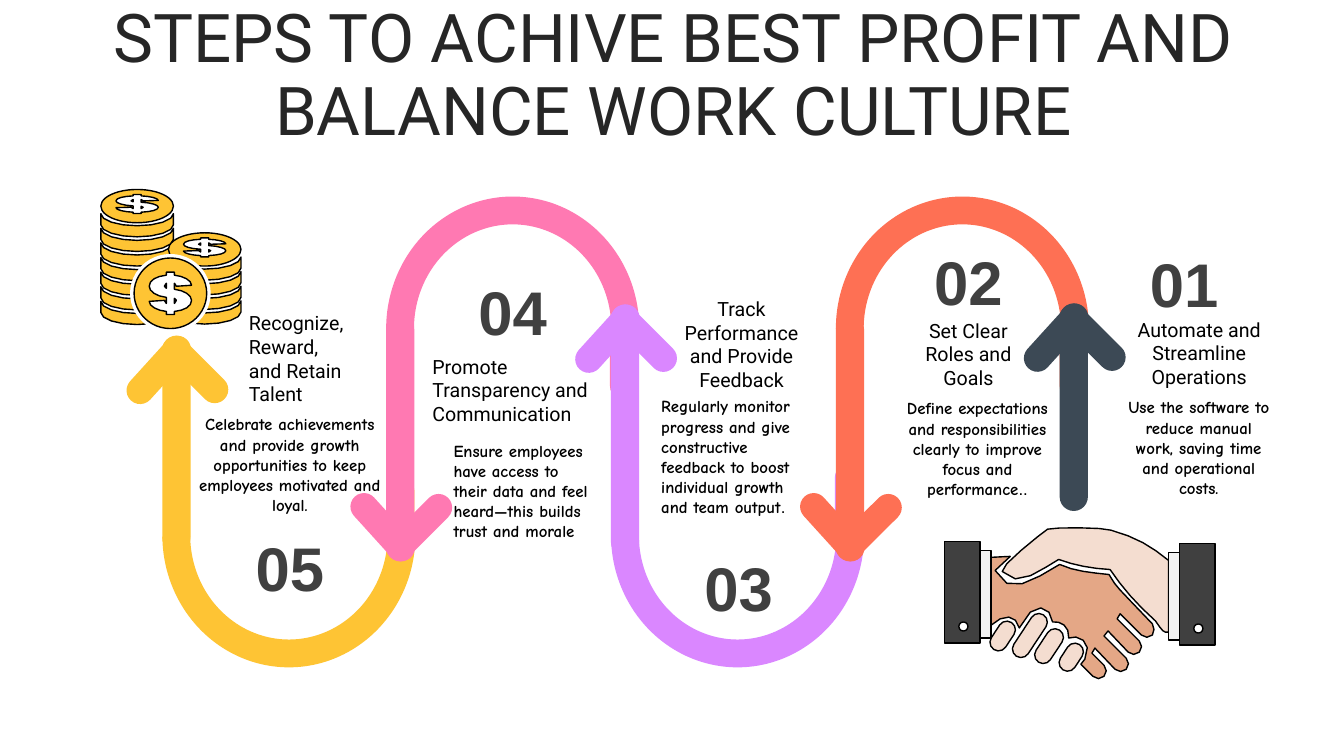
from math import cos, dist, pi, sin

from lxml.etree import SubElement
from pptx import Presentation
from pptx.dml.color import RGBColor
from pptx.enum.shapes import MSO_SHAPE
from pptx.enum.text import MSO_ANCHOR, MSO_AUTO_SIZE, PP_ALIGN
from pptx.oxml.ns import qn
from pptx.util import Inches, Pt

COLORS = {
    "title": "262626", "number": "404040", "black": "000000", "white": "FFFFFF",
    "gold": "FEC434", "pink": "FF79B2", "violet": "DA87FF", "coral": "FE7054",
    "navy": "3C4955", "pale": "F4DDD0", "tan": "E4A786", "cuff": "F2F2F2",
    "sleeve": "404040",
}

DOLLAR = [
    [(1.65, 2.7), (1.65, 2.73), (1.55, 2.74, 1.48, 2.78, 1.48, 2.84),
     (1.48, 2.89, 1.55, 2.94, 1.65, 2.95), (1.65, 3.01), (1.63, 2.98), (1.48, 2.99),
     (1.48, 3.04, 1.56, 3.08, 1.65, 3.09), (1.65, 3.12), (1.73, 3.12), (1.73, 3.09),
     (1.83, 3.08, 1.9, 3.04, 1.9, 2.98), (1.9, 2.93, 1.83, 2.88, 1.73, 2.87),
     (1.73, 2.81), (1.75, 2.84), (1.9, 2.83),
     (1.9, 2.78, 1.82, 2.74, 1.73, 2.73), (1.73, 2.7)],
    [(1.73, 2.96), (1.75, 2.98), (1.73, 3.01)],
    [(1.65, 2.81), (1.65, 2.86), (1.63, 2.84)],
]
BACK_HAND = [[
    (10.5, 5.55), (10.35, 5.63, 10.09, 5.86, 9.94, 5.67), (9.9, 5.63, 10.33, 5.29, 10.39, 5.25),
    (10.45, 5.23, 10.95, 5.23, 11.02, 5.26), (11.27, 5.33, 11.42, 5.42, 11.59, 5.56),
    (11.59, 6.27), (11.54, 6.28, 11.53, 6.26, 11.46, 6.16),
    (11.27, 5.99, 11.13, 5.83, 11.01, 5.65), (10.83, 5.64, 10.66, 5.61, 10.5, 5.55)]]
FRONT_HAND = [[
    (10.02, 5.52), (9.87, 5.66), (10, 5.93, 10.24, 5.76, 10.51, 5.6),
    (10.66, 5.67, 10.82, 5.68, 11, 5.7), (11.07, 5.83, 11.14, 5.88, 11.21, 5.96),
    (11.43, 6.19), (11.45, 6.22, 11.45, 6.27, 11.43, 6.3), (11.4, 6.33, 11.35, 6.33, 11.32, 6.3),
    (11.11, 6.09), (11.08, 6.14), (11.3, 6.36), (11.33, 6.39, 11.33, 6.44, 11.3, 6.47),
    (11.27, 6.5, 11.22, 6.5, 11.19, 6.47), (10.99, 6.26), (10.95, 6.31), (11.17, 6.53),
    (11.2, 6.56, 11.2, 6.61, 11.17, 6.64), (11.14, 6.67, 11.09, 6.67, 11.06, 6.64),
    (10.86, 6.43), (10.83, 6.48), (10.95, 6.6), (10.98, 6.63, 10.98, 6.68, 10.95, 6.71),
    (10.92, 6.74, 10.87, 6.74, 10.84, 6.71), (10.72, 6.59), (10.76, 6.54),
    (10.85, 6.36, 10.68, 6.29, 10.6, 6.33), (10.61, 6.21, 10.52, 6.16, 10.44, 6.17),
    (10.43, 6.02, 10.25, 5.93, 10.11, 6.23), (10.08, 6.1, 9.96, 6.08, 9.82, 6.21), (9.82, 5.53)]]


def paint(shape, color, line=True):
    """Fill a shape and give it a thin black line or none."""
    shape.shadow.inherit = False
    shape.fill.solid()
    shape.fill.fore_color.rgb = RGBColor.from_string(COLORS[color])
    if line:
        shape.line.color.rgb = RGBColor.from_string(COLORS["black"])
        shape.line.width = Pt(1)
    else:
        shape.line.fill.background()


def add(slide, kind, box, color, turn=0, line=True, adjust=()):
    """Add a painted preset shape."""
    shape = slide.shapes.add_shape(kind, *map(Inches, box))
    shape.rotation = turn
    for i, value in enumerate(adjust):
        shape.adjustments[i] = value
    paint(shape, color, line)


def bar(slide, box, color, turn=0, line=False):
    """Add a bar with fully round ends."""
    add(slide, MSO_SHAPE.ROUNDED_RECTANGLE, box, color, turn, line, (0.5,))


def flatten(steps):
    """Turn line and curve steps into points, more for long curves."""
    points = [steps[0]]
    for step in steps[1:]:
        if len(step) == 2:
            points.append(step)
            continue
        nodes = [points[-1], step[:2], step[2:4], step[4:]]
        count = 2 if dist(nodes[0], nodes[3]) < 0.12 else 4
        for t in (i / count for i in range(1, count + 1)):
            rates = ((1 - t) ** 3, 3 * t * (1 - t) ** 2, 3 * t * t * (1 - t), t ** 3)
            points.append(tuple(sum(r * n[k] for r, n in zip(rates, nodes)) for k in (0, 1)))
    return points


def outline(slide, loops, color, move=(0, 0), squash=1):
    """Draw closed loops, moved and flattened in height."""
    build = None
    for loop in loops:
        points = [(Inches(x + move[0]), Inches(y * squash + move[1])) for x, y in flatten(loop)]
        if build is None:
            build = slide.shapes.build_freeform(*points[0], scale=1.0)
        else:
            build.move_to(*points[0])
        build.add_line_segments(points[1:], close=True)
    paint(build.convert_to_shape(), color)


def stack(slide, left, top, count):
    """Draw a pile of coins with a dollar on its top face."""
    mid = left + 0.36
    bands = []
    for i in range(count):
        edge = top + 0.24 + 0.145 * i
        upper = [(mid - 0.36 * cos(pi * k / 8), edge + 0.12 * sin(pi * k / 8)) for k in range(9)]
        bands.append(upper + [(x, y + 0.11) for x, y in reversed(upper)])
    outline(slide, bands, "gold")
    add(slide, MSO_SHAPE.OVAL, (left, top, 0.72, 0.33), "gold")
    outline(slide, DOLLAR, "white", (mid - 1.69, top + 0.145 - 2.91 * 0.45), 0.45)


def coins(slide):
    """Draw both piles and the coin in front."""
    stack(slide, 1, 1.88, 7)
    stack(slide, 1.67, 2.31, 4)
    add(slide, MSO_SHAPE.OVAL, (1.29, 2.52, 0.8, 0.78), "white", line=False)
    add(slide, MSO_SHAPE.OVAL, (1.33, 2.56, 0.72, 0.7), "gold")
    outline(slide, DOLLAR, "white")


def hands(slide):
    """Draw the handshake."""
    outline(slide, BACK_HAND, "pale")
    for x, y, high in ((9.86, 6.15, 0.32), (10.13, 6.06, 0.49),
                       (10.32, 6.22, 0.38), (10.54, 6.37, 0.3)):
        bar(slide, (x, y, 0.17, high), "pale", 33.4, True)
    outline(slide, FRONT_HAND, "tan")
    for cuff, sleeve, knob, y in ((11.59, 11.7, 11.84, 5.39), (9.72, 9.37, 9.51, 5.37)):
        add(slide, MSO_SHAPE.RECTANGLE, (cuff, y + 0.09, 0.11, 0.87), "cuff")
        add(slide, MSO_SHAPE.RECTANGLE, (sleeve, y, 0.35, 1.01), "sleeve")
        add(slide, MSO_SHAPE.OVAL, (knob, y + 0.8, 0.09, 0.09), "white")


def arrow(slide, color, left, top, high, up, tail=None):
    """Draw an arrow, with a bend and tail if the tail is given."""
    if tail:
        bar(slide, (left + 2.22, tail[0], 0.28, tail[1]), color)
    head = top - 0.07 if up else top + high - 0.75
    for shift, turn in ((-0.17, 42.2), (0.19, 315)):
        bar(slide, (left + shift, head, 0.27, 0.82), color, turn if up else 360 - turn)
    bar(slide, (left, top, 0.28, high), color)
    if tail:
        add(slide, MSO_SHAPE.BLOCK_ARC, (left, 4 if up else 1.95, 2.51, 2.62), color,
            180 if up else 0, False, (107.93, 215.66, 0.11))


def write(slide, box, text, size, face, color="black", bold=False, center=True, grow=True):
    """Add a wrapped text box and return its paragraph."""
    frame = slide.shapes.add_textbox(*map(Inches, box)).text_frame
    frame.word_wrap = True
    frame.auto_size = MSO_AUTO_SIZE.SHAPE_TO_FIT_TEXT if grow else MSO_AUTO_SIZE.NONE
    para = frame.paragraphs[0]
    para.alignment = PP_ALIGN.CENTER if center else PP_ALIGN.LEFT
    para.add_run().text = text
    font = para.font
    font.size, font.name, font.bold = Pt(size), face, bold
    font.color.rgb = RGBColor.from_string(COLORS[color])
    return para


def title(slide, text):
    """Add the heading."""
    para = write(slide, (0.35, 0.37, 12.66, 0.79), text, 48, "Roboto", "title", grow=False)
    para.line_spacing, para.space_before = 0.9, Pt(10)
    slide.shapes[-1].text_frame.vertical_anchor = MSO_ANCHOR.MIDDLE


def step(slide, label, spot, name, name_box, body, body_box, centers=(True, True), dots=""):
    """Add the number, name and body of one step."""
    para = write(slide, (*spot, 1.05, 0.84), label, 44, "Arial", "number", True)
    edge = SubElement(para.runs[0]._r.get_or_add_rPr(), qn("a:ln"), w="12700")
    SubElement(SubElement(edge, qn("a:solidFill")), qn("a:srgbClr"), val=COLORS["white"])
    para = write(slide, body_box, body, 12, "Comic Neue", bold=True, center=centers[1])
    if dots:
        run = para.add_run()
        run.text, run.font.name, run.font.bold = dots, "Arial", False
    write(slide, name_box, name, 14, "Roboto", center=centers[0])


def main():
    """Build the slide."""
    deck = Presentation()
    deck.slide_width, deck.slide_height = Inches(13.33), Inches(7.5)
    slide = deck.slides.add_slide(deck.slide_layouts[6])
    title(slide, "STEPS TO ACHIVE BEST PROFIT AND BALANCE WORK CULTURE")
    coins(slide)
    hands(slide)
    step(slide, "02", (9.08, 2.37), "Set Clear Roles and Goals", (8.87, 3.11, 1.47, 0.81),
         "Define expectations and responsibilities clearly to improve focus and performance",
         (8.88, 3.9, 1.63, 1.31), dots="..")
    step(slide, "01", (11.22, 2.39), "Automate and Streamline Operations", (11.08, 3.1, 1.63, 0.81),
         "Use the software to reduce manual work, saving time and operational costs.",
         (11.07, 3.89, 1.64, 1.11))
    step(slide, "04", (4.56, 2.67), "Promote Transparency and Communication",
         (4.19, 3.47, 1.87, 0.81),
         "Ensure employees have access to their data and feel heard—this builds trust and morale",
         (4.4, 4.32, 1.6, 1.51), (False, False))
    step(slide, "03", (6.8, 5.41), "Track Performance and Provide Feedback", (6.57, 2.9, 1.57, 1.04),
         "Regularly monitor progress and give constructive feedback to boost individual growth "
         "and team output", (6.46, 3.88, 1.58, 1.72), (True, False), ".")
    step(slide, "05", (2.35, 5.21), "Recognize, Reward, and Retain Talent", (2.37, 3.04, 1.24, 1.04),
         "Celebrate achievements and provide growth opportunities to keep employees motivated "
         "and loyal.", (1.79, 4.06, 2.17, 1.11), (False, True))
    arrow(slide, "gold", 1.61, 3.33, 2.14, True, (4.73, 0.71))
    arrow(slide, "pink", 3.83, 3.13, 2.44, False, (3.13, 0.84))
    arrow(slide, "violet", 6.06, 3.02, 2.5, True, (4.6, 0.84))
    arrow(slide, "coral", 8.29, 3.13, 2.44, False, (3.13, 0.84))
    arrow(slide, "navy", 10.51, 3.01, 2.06, True)
    deck.save("out.pptx")


if __name__ == "__main__":
    main()
